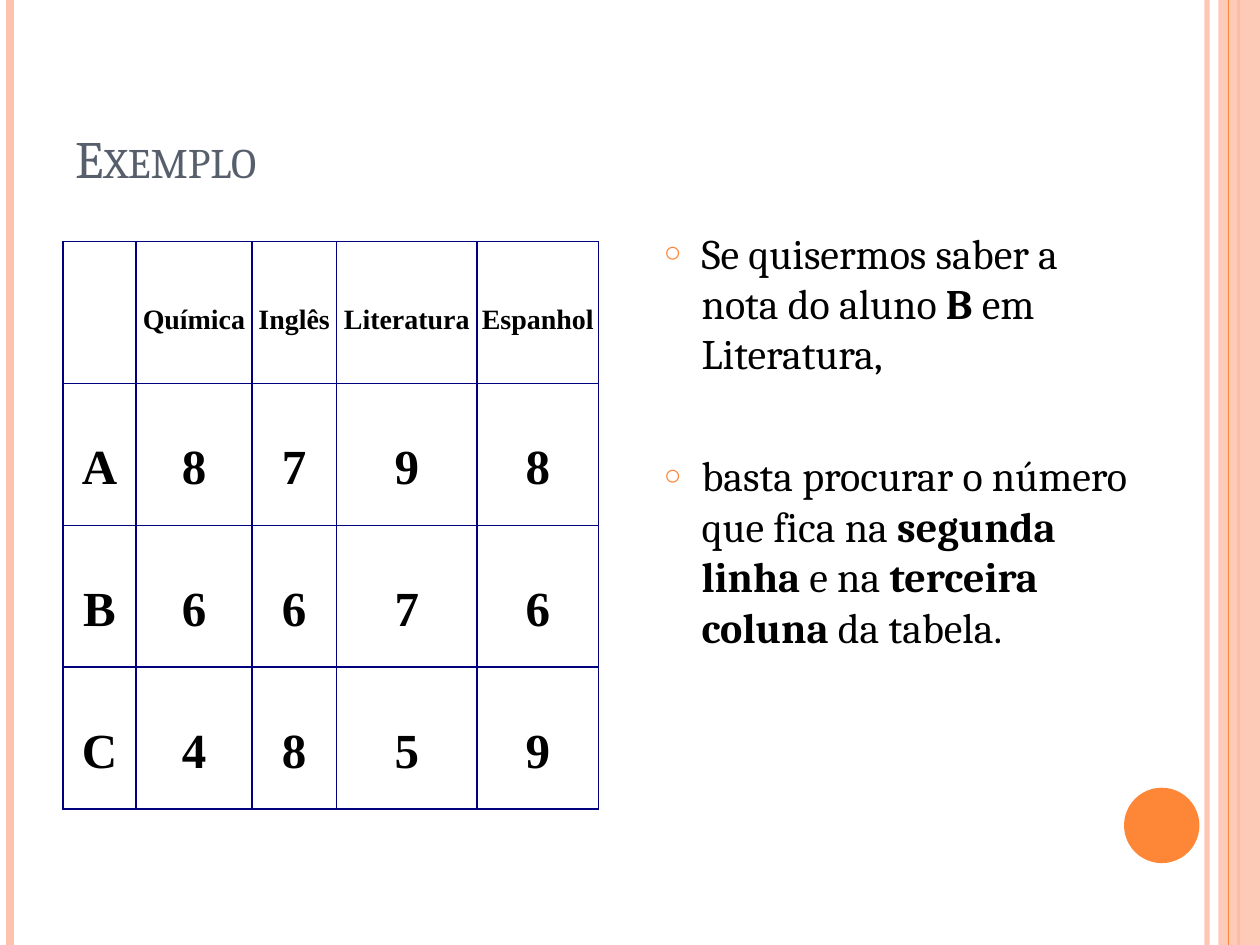
from pptx import Presentation
from pptx.dml.color import RGBColor
from pptx.enum.shapes import MSO_CONNECTOR, MSO_SHAPE
from pptx.enum.text import MSO_ANCHOR, MSO_AUTO_SIZE, PP_ALIGN
from pptx.oxml import parse_xml
from pptx.oxml.ns import nsdecls, qn
from pptx.util import Cm, Pt
from lxml.etree import SubElement

ORANGE = RGBColor(0xFE, 0x86, 0x37)
PEACH = RGBColor(0xFE, 0xC3, 0xAE)
SLATE = RGBColor(0x57, 0x5F, 0x6D)
NAVY = RGBColor(0x00, 0x00, 0x80)
BLACK = RGBColor(0, 0, 0)
WHITE = RGBColor(0xFF, 0xFF, 0xFF)

PAGE_WIDTH, PAGE_HEIGHT = 25.4, 19.05
COLUMN_WIDTHS = [1.47, 2.34, 1.7, 2.84, 2.44]
ROW_HEIGHT = 2.86
GRADES = [
    ["", "Química", "Inglês", "Literatura", "Espanhol"],
    ["A", "8", "7", "9", "8"],
    ["B", "6", "6", "7", "6"],
    ["C", "4", "8", "5", "9"],
]
# Each bullet: space before in points, then (text, bold) spans.
BULLETS = [
    (6, [("Se quisermos saber a nota do aluno ", False), ("B", True),
         (" em Literatura, ", False)]),
    (41, [("basta procurar o número que fica na ", False),
          ("segunda linha ", True), ("e na ", False),
          ("terceira coluna ", True), ("da tabela.", False)]),
]


def place(shape, left, top, width, height):
    """Move and size a shape, in centimetres."""
    shape.left, shape.top = Cm(left), Cm(top)
    shape.width, shape.height = Cm(width), Cm(height)


def set_alpha(fill_parent, percent):
    """Make the solid fill below an element partly transparent."""
    color = fill_parent.find(qn("a:solidFill"))[0]
    SubElement(color, qn("a:alpha"), val=str(percent * 1000))


def add_span(para, text, font="Cambria", size=24, color=BLACK, bold=False,
             small_caps=False):
    """Add a formatted run to a paragraph."""
    span = para.add_run()
    span.text = text
    span.font.name, span.font.size = font, Pt(size)
    span.font.bold = bold
    span.font.color.rgb = color
    if small_caps:
        span._r.get_or_add_rPr().set("cap", "small")


def add_stripe(page, x, width, color, alpha=None):
    """Draw a vertical line over the full page height."""
    stripe = page.shapes.add_connector(
        MSO_CONNECTOR.STRAIGHT, Cm(x), Cm(0), Cm(x), Cm(PAGE_HEIGHT))
    stripe.line.color.rgb, stripe.line.width = color, Pt(width)
    if alpha:
        set_alpha(stripe.line._get_or_add_ln(), alpha)
    SubElement(stripe._element.spPr, qn("a:effectLst"))


def add_plain_shape(page, kind, left, top, width, height, color, alpha=None):
    """Draw a filled preset shape without outline or shadow."""
    shape = page.shapes.add_shape(
        kind, Cm(left), Cm(top), Cm(width), Cm(height))
    shape.shadow.inherit = False
    shape.fill.solid()
    shape.fill.fore_color.rgb = color
    shape.line.fill.background()
    if alpha:
        set_alpha(shape._element.spPr, alpha)


def add_decoration(page):
    """Draw the side stripes, the right band and the orange disc."""
    add_stripe(page, 24.33, 3, PEACH, alpha=93)
    add_stripe(page, 0.2, 4.5, PEACH)
    add_stripe(page, 24.97, 1.5, ORANGE)
    add_plain_shape(page, MSO_SHAPE.RECTANGLE, 24.56, 0, 0.84, PAGE_HEIGHT,
                    PEACH, alpha=87)
    add_stripe(page, 24.77, 0.75, ORANGE)
    add_plain_shape(page, MSO_SHAPE.OVAL, 22.66, 15.88, 1.52, 1.52, ORANGE)


def fill_title(title, text):
    """Place the title and write it in small capitals."""
    place(title, 1.27, 0.76, 20.75, 3.18)
    frame = title.text_frame
    frame.auto_size = MSO_AUTO_SIZE.NONE
    frame.vertical_anchor = MSO_ANCHOR.BOTTOM
    para = frame.paragraphs[0]
    para.alignment = PP_ALIGN.LEFT
    add_span(para, text, size=30, color=SLATE, small_caps=True)


def set_bullet(para):
    """Give a paragraph a hanging orange ring bullet."""
    props = para._p.get_or_add_pPr()
    props.set("marL", str(Cm(0.76)))
    props.set("indent", str(-Cm(0.76)))
    color = SubElement(props, qn("a:buClr"))
    SubElement(color, qn("a:srgbClr"), val=str(ORANGE))
    SubElement(props, qn("a:buSzPct"), val="70000")
    SubElement(props, qn("a:buChar"), char="○")


def fill_body(body):
    """Place the body and write its bullets."""
    place(body, 13.13, 4.45, 10.16, 12.7)
    frame = body.text_frame
    frame.auto_size = MSO_AUTO_SIZE.NONE
    for index, (space, spans) in enumerate(BULLETS):
        para = frame.add_paragraph() if index else frame.paragraphs[0]
        para.alignment = PP_ALIGN.LEFT
        para.space_before = Pt(space)
        set_bullet(para)
        for text, bold in spans:
            add_span(para, text, bold=bold)


def format_cell(cell, text, size):
    """Write a centred cell with white fill and navy borders."""
    cell.margin_left = cell.margin_right = Cm(0.03)
    cell.margin_top = cell.margin_bottom = Cm(0.03)
    cell.vertical_anchor = MSO_ANCHOR.MIDDLE
    cell.fill.solid()
    cell.fill.fore_color.rgb = WHITE
    props = cell._tc.get_or_add_tcPr()
    for index, side in enumerate("LRTB"):
        props.insert(index, parse_xml(
            f'<a:ln{side} {nsdecls("a")} w="{Pt(1)}"><a:solidFill>'
            f'<a:srgbClr val="{NAVY}"/></a:solidFill></a:ln{side}>'))
    if text:
        para = cell.text_frame.paragraphs[0]
        para.alignment = PP_ALIGN.CENTER
        para.line_spacing = 1.5
        add_span(para, text, font="Times New Roman", size=size, bold=True)


def add_grades(page):
    """Add the table of grades."""
    rows, columns = len(GRADES), len(COLUMN_WIDTHS)
    table = page.shapes.add_table(
        rows, columns, Cm(1.27), Cm(4.87), Cm(sum(COLUMN_WIDTHS)),
        Cm(rows * ROW_HEIGHT)).table
    table.first_row = table.horz_banding = False
    for column, width in zip(table.columns, COLUMN_WIDTHS):
        column.width = Cm(width)
    for r, texts in enumerate(GRADES):
        table.rows[r].height = Cm(ROW_HEIGHT)
        for c, text in enumerate(texts):
            format_cell(table.cell(r, c), text, size=28 if r else 16)


def main():
    """Build the slide and save the deck."""
    deck = Presentation()
    deck.slide_width, deck.slide_height = Cm(PAGE_WIDTH), Cm(PAGE_HEIGHT)
    page = deck.slides.add_slide(deck.slide_layouts[1])
    add_decoration(page)
    fill_title(page.shapes.title, "Exemplo")
    add_grades(page)
    fill_body(page.placeholders[1])
    deck.save("out.pptx")


main()
